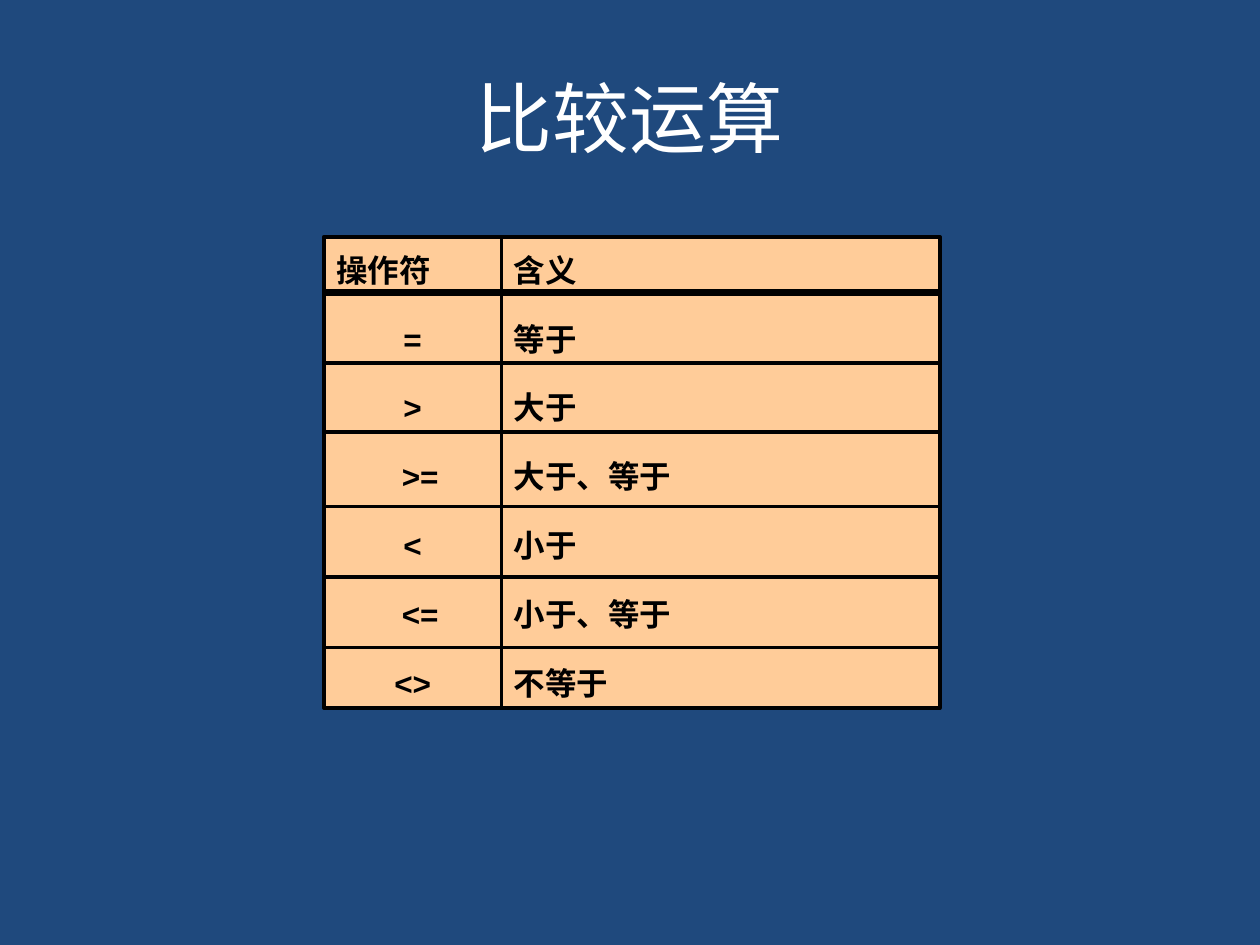
import pptx
import pptx.util
import pptx.dml.color
import pptx.enum.shapes
import pptx.enum.text
import pptx.oxml.ns
import lxml.etree

Inches = pptx.util.Inches
Pt = pptx.util.Pt
ALIGN = pptx.enum.text.PP_ALIGN
ANCHOR = pptx.enum.text.MSO_ANCHOR

BACKGROUND, WHITE, BLACK, PEACH = "1F497D", "FFFFFF", "000000", "FFCC99"
TABLE_TOP, TABLE_HEIGHT = 1.88, 3.74
OPERATOR_LEFT, MEANING_LEFT, TABLE_RIGHT = 2.57, 3.98, 7.46
HEADER_RULE = 2.32
ROW_RULES = [2.88, 3.43, 4.02, 4.58, 5.14]
ROWS = [
    ("操作符", "含义"),
    ("=", "等于"),
    (">", "大于"),
    (">=", "大于、等于"),
    ("<", "小于"),
    ("<=", "小于、等于"),
    ("<>", "不等于"),
]


def paint(color_format, color):
    color_format.rgb = pptx.dml.color.RGBColor.from_string(color)


def add_run(para, text, size, font, color, bold=False):
    span = para.add_run()
    span.text = text
    span.font.size = Pt(size)
    span.font.name = font
    span.font.bold = bold
    paint(span.font.color, color)


def add_title(page, text):
    box = page.shapes.add_textbox(Inches(0.5), Inches(0.3), Inches(9), Inches(1.25))
    frame = box.text_frame
    frame.word_wrap = True
    frame.vertical_anchor = ANCHOR.MIDDLE
    para = frame.paragraphs[0]
    para.alignment = ALIGN.CENTER
    add_run(para, text, 44, "Calibri", WHITE)


def add_column(page, left, right, texts, body_alignment):
    column = page.shapes.add_shape(
        pptx.enum.shapes.MSO_SHAPE.RECTANGLE,
        Inches(left), Inches(TABLE_TOP), Inches(right - left), Inches(TABLE_HEIGHT))
    column.shadow.inherit = False
    column.fill.solid()
    paint(column.fill.fore_color, PEACH)
    paint(column.line.color, BLACK)
    column.line.width = Pt(2)
    frame = column.text_frame
    frame.word_wrap = True
    frame.vertical_anchor = ANCHOR.TOP
    frame.auto_size = pptx.enum.text.MSO_AUTO_SIZE.SHAPE_TO_FIT_TEXT
    for index, text in enumerate(texts):
        para = frame.add_paragraph() if index else frame.paragraphs[0]
        para.alignment = body_alignment if index else ALIGN.LEFT
        para.line_spacing = 1.2
        para.space_before = Pt(13.5)
        if text in (">=", "<="):
            para._p.get_or_add_pPr().set("marL", str(Inches(0.12)))
        add_run(para, text, 18, "Arial", BLACK, bold=True)


def add_rule(page, top, width):
    rule = page.shapes.add_connector(
        pptx.enum.shapes.MSO_CONNECTOR.STRAIGHT,
        Inches(OPERATOR_LEFT), Inches(top), Inches(7.45), Inches(top))
    paint(rule.line.color, BLACK)
    rule.line.width = Pt(width)
    lxml.etree.SubElement(rule._element.spPr, pptx.oxml.ns.qn("a:effectLst"))


def main():
    deck = pptx.Presentation()
    deck.slide_width, deck.slide_height = Inches(10), Inches(7.5)
    page = deck.slides.add_slide(deck.slide_layouts[6])
    page.background.fill.solid()
    paint(page.background.fill.fore_color, BACKGROUND)
    add_title(page, "比较运算")
    operators, meanings = zip(*ROWS)
    add_column(page, OPERATOR_LEFT, MEANING_LEFT, operators, ALIGN.CENTER)
    add_column(page, MEANING_LEFT, TABLE_RIGHT, meanings, ALIGN.LEFT)
    add_rule(page, HEADER_RULE, 4)
    for top in ROW_RULES:
        add_rule(page, top, 2)
    deck.save("out.pptx")


if __name__ == "__main__":
    main()
